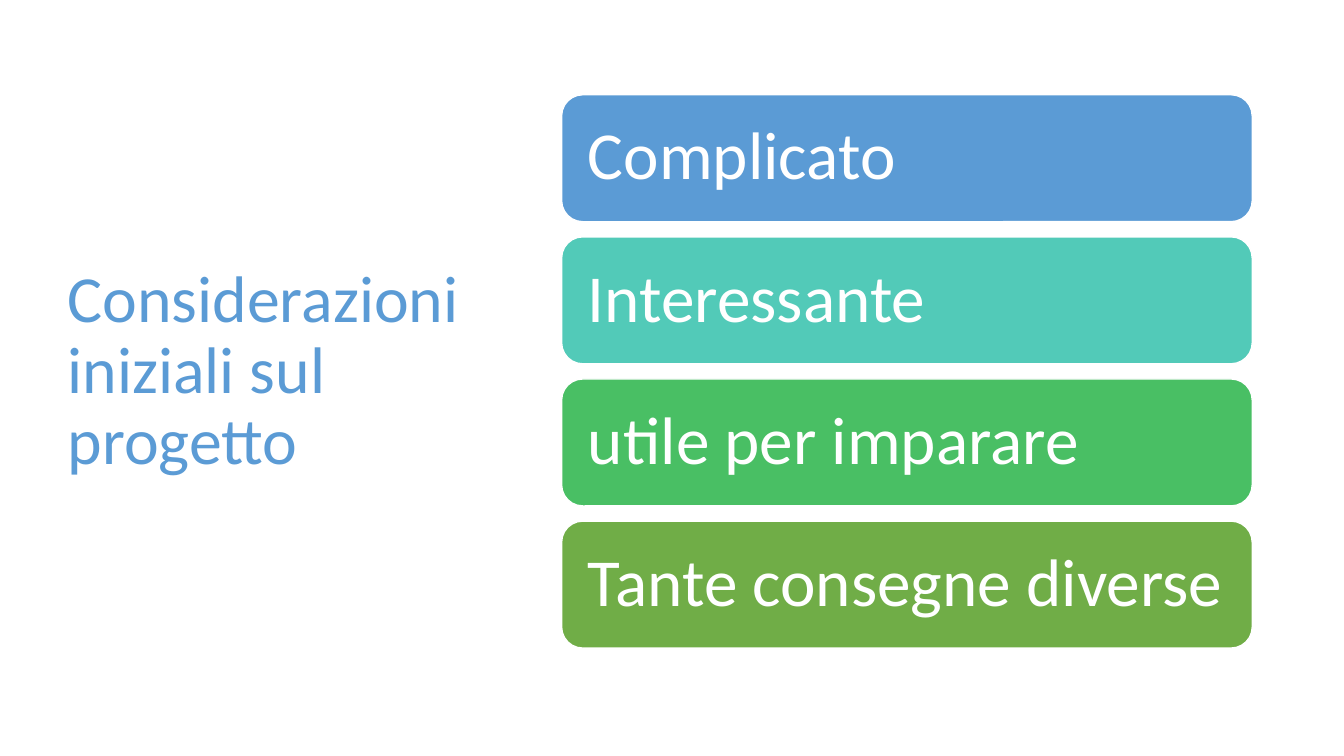
from pptx import Presentation
from pptx.dml.color import RGBColor
from pptx.enum.shapes import MSO_SHAPE as Shape
from pptx.enum.text import MSO_ANCHOR as Anchor, MSO_AUTO_SIZE as AutoSize, PP_ALIGN as Align
from pptx.util import Emu, Pt

COLORS = {
    "blue": "5B9BD5",
    "teal": "52CAB8",
    "green": "49BF64",
    "olive": "70AD47",
    "white": "FFFFFF",
}
CONSIDERATIONS = [
    ("Complicato", "blue"),
    ("Interessante", "teal"),
    ("utile per imparare", "green"),
    ("Tante consegne diverse", "olive"),
]
BAR_LEFT, BAR_TOP, BAR_WIDTH, BAR_HEIGHT, BAR_STEP = 557, 94, 685, 126, 141


def px(value):
    return Emu(value * 9144)


def color(name):
    return RGBColor.from_string(COLORS[name])


class SlideBuilder:
    font = "Calibri"
    line_spacing = 0.9

    def __init__(self, slide):
        self.slide = slide

    def set_text(self, shape, text, size, color_name):
        frame = shape.text_frame
        frame.word_wrap = True
        frame.auto_size = AutoSize.NONE
        frame.vertical_anchor = Anchor.MIDDLE
        paragraph = frame.paragraphs[0]
        paragraph.alignment = Align.LEFT
        paragraph.line_spacing = self.line_spacing
        run = paragraph.add_run()
        run.text = text
        run.font.name = self.font
        run.font.size = Pt(size)
        run.font.color.rgb = color(color_name)

    def title(self, text, left, top, width, height):
        shape = self.slide.shapes.title
        shape.left, shape.top = px(left), px(top)
        shape.width, shape.height = px(width), px(height)
        self.set_text(shape, text, 47, "blue")

    def bar(self, text, fill, left, top, width, height):
        shape = self.slide.shapes.add_shape(
            Shape.ROUNDED_RECTANGLE, px(left), px(top), px(width), px(height))
        shape.shadow.inherit = False
        shape.fill.solid()
        shape.fill.fore_color.rgb = color(fill)
        shape.line.color.rgb = color("white")
        shape.line.width = Pt(1)
        frame = shape.text_frame
        frame.margin_left = px(20)
        frame.margin_right = px(10)
        self.set_text(shape, text, 48, "white")


def main():
    presentation = Presentation()
    presentation.slide_width = px(1333)
    presentation.slide_height = px(750)
    builder = SlideBuilder(presentation.slides.add_slide(presentation.slide_layouts[5]))
    builder.title("Considerazioni iniziali sul progetto", 57, 68, 416, 602)
    for index, (text, fill) in enumerate(CONSIDERATIONS):
        builder.bar(text, fill, BAR_LEFT, BAR_TOP + index * BAR_STEP, BAR_WIDTH, BAR_HEIGHT)
    presentation.save("out.pptx")


if __name__ == "__main__":
    main()
